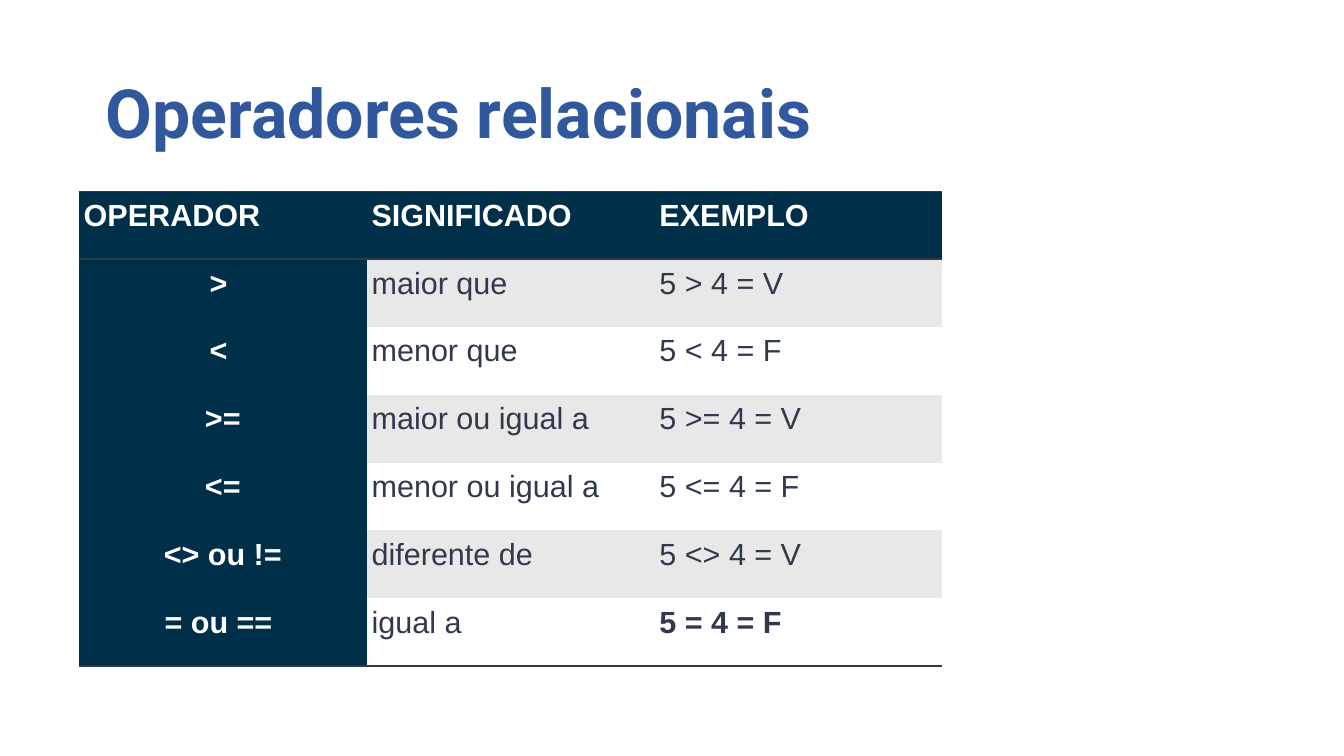
"""Build a slide with a table of relational operators."""
from dataclasses import dataclass

from lxml import etree
from pptx import Presentation
from pptx.dml.color import RGBColor
from pptx.enum.text import PP_ALIGN
from pptx.oxml.ns import qn
from pptx.util import Inches, Pt

LEFT, CENTER = PP_ALIGN.LEFT, PP_ALIGN.CENTER
NAVY, SLATE, BLUE, GRAY, WHITE = "002F4A", "31394D", "31589D", "E8E8E9", "FFFFFF"
NO_STYLE = "{2D5ABB26-0587-4C30-8999-92F81FD0307C}"
COL_WIDTH, ROW_HEIGHT = 4.71, 1.11


@dataclass
class Row:
    operator: str
    meaning: str
    example: str


HEADER = Row("OPERADOR", "SIGNIFICADO", "EXEMPLO")
OPERATORS = [
    Row("> ", "maior que", "5 > 4 = V"),
    Row("< ", "menor que", "5 < 4 = F"),
    Row(">=", "maior ou igual a", "5 >= 4 = V"),
    Row("<=", "menor ou igual a", "5 <= 4 = F"),
    Row("<> ou !=", "diferente de", "5 <> 4 = V"),
    Row("= ou == ", "igual a", "5 = 4 = F"),
]


def rgb(color: str) -> RGBColor:
    return RGBColor.from_string(color)


def write(tf, text: str, *, size: float, font: str, color: str, bold: bool = False,
          align=LEFT, spacing: float = 1.0, after: float = 0) -> None:
    p = tf.paragraphs[0]
    p.alignment, p.line_spacing, p.space_after = align, spacing, Pt(after)
    r = p.add_run()
    r.text = text
    r.font.size, r.font.name, r.font.bold = Pt(size), font, bold
    r.font.color.rgb = rgb(color)


def add_borders(cell, sides: list[str]) -> None:
    tc_pr = cell._tc.get_or_add_tcPr()
    for i, side in enumerate(sides):
        ln = etree.Element(qn(f"a:ln{side}"), w=str(Pt(2)))
        fill = etree.SubElement(ln, qn("a:solidFill"))
        etree.SubElement(fill, qn("a:srgbClr"), val=SLATE)
        tc_pr.insert(i, ln)


def add_title(s, text: str) -> None:
    tf = s.shapes.add_textbox(Inches(1.73), Inches(1.15), Inches(17.66), Inches(1.36)).text_frame
    tf.word_wrap = True
    tf.margin_left = tf.margin_right = tf.margin_bottom = 0
    tf.margin_top = Inches(0.01)
    write(tf, text, size=80, font="Roboto", color=BLUE, bold=True)


def fill_cell(cell, text: str, row: int, col: int, last: int) -> None:
    dark = row == 0 or col == 0
    cell.margin_left = cell.margin_right = Inches(0.08)
    cell.margin_top = cell.margin_bottom = Inches(0.08)
    cell.fill.solid()
    cell.fill.fore_color.rgb = rgb(NAVY if dark else GRAY if row % 2 else WHITE)
    write(cell.text_frame, text, size=36, font="Arial", color=WHITE if dark else SLATE,
          bold=dark or (row == last and col == 2),
          align=CENTER if row and col == 0 else LEFT, spacing=1.07, after=8)
    if row == 0:
        add_borders(cell, ["T", "B"])
    elif row == last:
        add_borders(cell, ["B"])


def add_operator_table(s, rows: list[Row]) -> None:
    table = s.shapes.add_table(len(rows), 3, Inches(1.29), Inches(3.13), Inches(3 * COL_WIDTH),
                               Inches(len(rows) * ROW_HEIGHT)).table
    table.first_row = table.horz_banding = False
    table._tbl.tblPr.find(qn("a:tableStyleId")).text = NO_STYLE
    for column in table.columns:
        column.width = Inches(COL_WIDTH)
    for i, row in enumerate(rows):
        table.rows[i].height = Inches(ROW_HEIGHT)
        for j, text in enumerate((row.operator, row.meaning, row.example)):
            fill_cell(table.cell(i, j), text, i, j, len(rows) - 1)


def main() -> None:
    prs = Presentation()
    prs.slide_width, prs.slide_height = Inches(21.99), Inches(12.37)
    s = prs.slides.add_slide(prs.slide_layouts[6])
    add_title(s, "Operadores relacionais")
    add_operator_table(s, [HEADER, *OPERATORS])
    prs.save("out.pptx")


if __name__ == "__main__":
    main()
